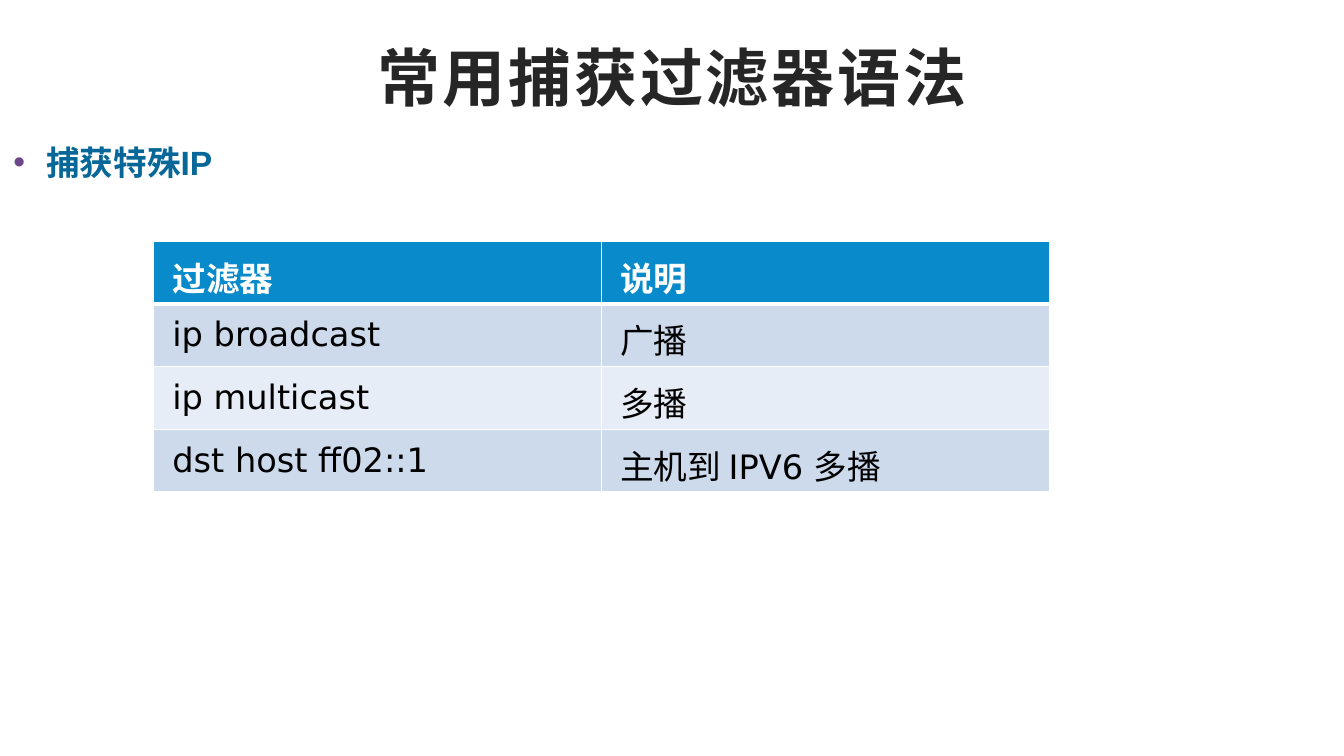
"""Build a slide with a table of capture filters for special IP addresses."""
from lxml import etree
from pptx import Presentation
from pptx.dml.color import RGBColor
from pptx.enum.text import MSO_ANCHOR, PP_ALIGN
from pptx.oxml.ns import qn
from pptx.util import Pt

CENTER = PP_ALIGN.CENTER
TOP, MIDDLE = MSO_ANCHOR.TOP, MSO_ANCHOR.MIDDLE


def color(value):
    return RGBColor.from_string(value)


def add_text(page, left, top, width, height, text, size, value):
    box = page.shapes.add_textbox(Pt(left), Pt(top), Pt(width), Pt(height))
    frame = box.text_frame
    frame.word_wrap = True
    frame.vertical_anchor = TOP
    frame.margin_left = frame.margin_right = Pt(9.6)
    frame.margin_top = frame.margin_bottom = Pt(4.8)
    frame.text = text
    para = frame.paragraphs[0]
    for span in para.runs:
        span.font.name = "Arial"
        span.font.size = Pt(size)
        span.font.bold = True
        span.font.color.rgb = color(value)
    return para


deck = Presentation()
deck.slide_width, deck.slide_height = Pt(960), Pt(540)
page = deck.slides.add_slide(deck.slide_layouts[6])

title = add_text(page, 66, 28.8, 828, 104.4, "常用捕获过滤器语法", 45, "262626")
title.alignment = CENTER
title.line_spacing = 0.9
title.runs[0].font._element.set("spc", "200")

topic = add_text(page, 0, 96.5, 835.2, 60.5, " 捕获特殊IP", 24, "076798")
properties = topic._p.get_or_add_pPr()
properties.set("marL", str(Pt(18)))
properties.set("indent", str(Pt(-18)))
bullet_color = etree.SubElement(properties, qn("a:buClr"))
etree.SubElement(bullet_color, qn("a:srgbClr"), val="6E4589")
etree.SubElement(properties, qn("a:buFont"), typeface="Arial")
etree.SubElement(properties, qn("a:buChar"), char="•")

rows = [
    ("过滤器", "说明"),
    ("ip broadcast", "广播"),
    ("ip multicast", "多播"),
    ("dst host ff02::1", "主机到 IPV6 多播"),
]
row_height = 44.8
table = page.shapes.add_table(
    len(rows), 2, Pt(109.6), Pt(172.3), Pt(640), Pt(row_height * len(rows))
).table
for column in table.columns:
    column.width = Pt(320)

for row_index, texts in enumerate(rows):
    table.rows[row_index].height = Pt(row_height)
    header = row_index == 0
    band = "098ACA" if header else ("E7EDF6", "CCDAEC")[row_index % 2]
    for column_index, text in enumerate(texts):
        cell = table.cell(row_index, column_index)
        cell.text = text
        cell.vertical_anchor = MIDDLE
        cell.margin_left = cell.margin_right = Pt(13.6)
        cell.margin_top = cell.margin_bottom = Pt(7.9)
        widths = {"L": 1, "R": 1, "T": 3 if row_index == 1 else 1, "B": 3 if header else 1}
        cell_properties = cell._tc.get_or_add_tcPr()
        for side, width in widths.items():
            line = etree.SubElement(cell_properties, qn(f"a:ln{side}"), w=str(Pt(width)))
            line_fill = etree.SubElement(line, qn("a:solidFill"))
            etree.SubElement(line_fill, qn("a:srgbClr"), val="FFFFFF")
        cell.fill.solid()
        cell.fill.fore_color.rgb = color(band)
        font = cell.text_frame.paragraphs[0].runs[0].font
        font.name = "Arial" if header else "DejaVu Sans"
        font.size = Pt(24)
        font.bold = header
        font.color.rgb = color("FFFFFF" if header else "000000")

deck.save("out.pptx")
